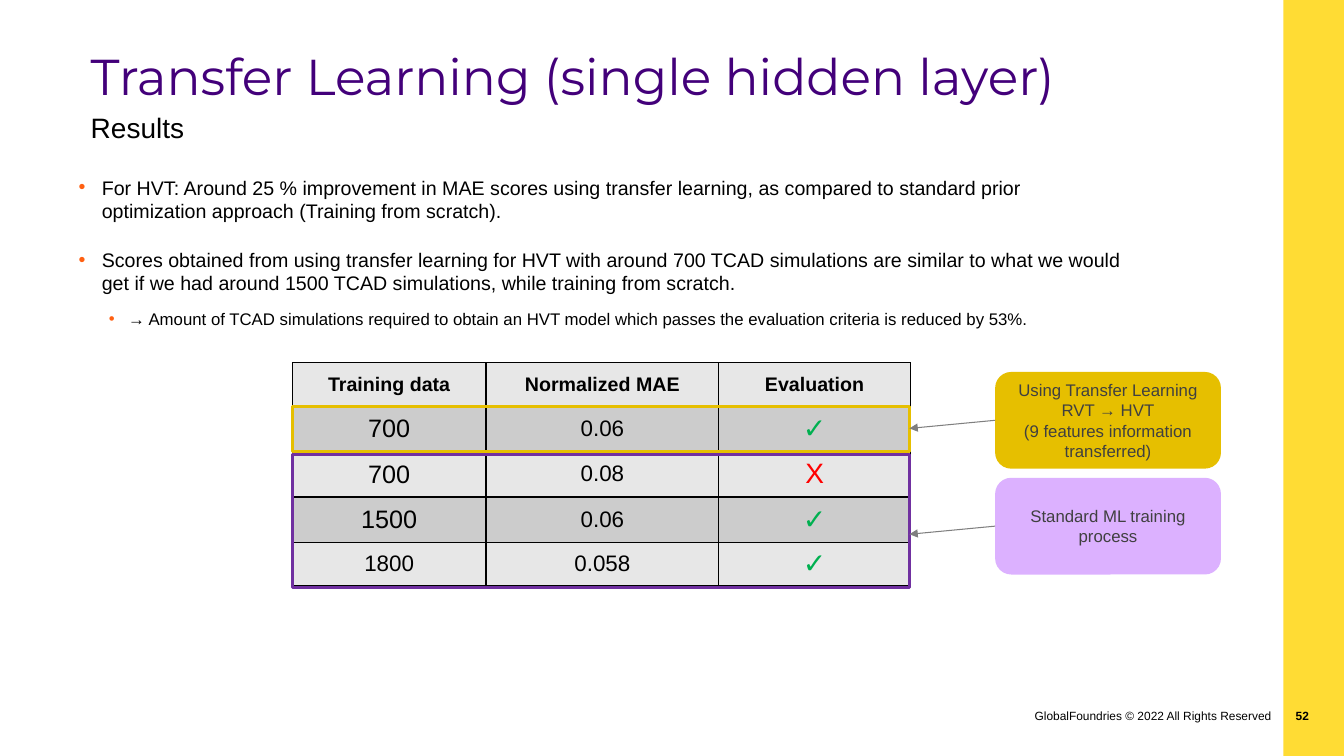
from lxml.etree import SubElement
from pptx import Presentation
from pptx.dml.color import RGBColor
from pptx.enum.shapes import MSO_CONNECTOR as Connector, MSO_SHAPE as Shape
from pptx.enum.text import MSO_ANCHOR as Anchor, PP_ALIGN as Align
from pptx.oxml.ns import qn
from pptx.util import Pt

PX = 9144
BLACK, CHECK_GREEN, CROSS_RED = "000000", "00B050", "FF0000"
GOLD, PURPLE = "E6BF00", "7030A0"

BULLETS = [
    (0, "For HVT: Around 25 % improvement in MAE scores using transfer learning, "
        "as compared to standard prior optimization approach (Training from scratch)."),
    (0, "Scores obtained from using transfer learning for HVT with around 700 TCAD "
        "simulations are similar to what we would get if we had around 1500 TCAD "
        "simulations, while training from scratch."),
    (1, "→ Amount of TCAD simulations required to obtain an HVT model which passes "
        "the evaluation criteria is reduced by 53%."),
]
BULLET_LEVELS = [(23, 23, 18, 14), (49, 19, 10, 12)]

RESULTS = [
    ("Training data", "Normalized MAE", "Evaluation"),
    ("700", "0.06", "✓"),
    ("700", "0.08", "X"),
    ("1500", "0.06", "✓"),
    ("1800", "0.058", "✓"),
]
COLUMN_WIDTHS = [192, 231, 190]
ROW_HEIGHTS = [43, 45, 45, 45, 41]
FIRST_COLUMN_SIZES = [14, 18, 18, 18, 16]


def px(*lengths):
    return [length * PX for length in lengths]


def color(value):
    return RGBColor.from_string(value)


def style(paragraph, size, text_color=BLACK, bold=False, name="Arial", align=Align.LEFT):
    paragraph.alignment = align
    font = paragraph.font
    font.name, font.size, font.bold = name, Pt(size), bold
    font.color.rgb = color(text_color)


def set_margins(frame, margins):
    (frame.margin_left, frame.margin_top,
     frame.margin_right, frame.margin_bottom) = px(*margins)


def add_text(slide, box, text, size, margins=(0, 0, 0, 0), anchor=Anchor.TOP, **look):
    frame = slide.shapes.add_textbox(*px(*box)).text_frame
    frame.word_wrap = True
    frame.vertical_anchor = anchor
    set_margins(frame, margins)
    frame.text = text
    style(frame.paragraphs[0], size, **look)


def add_box(slide, kind, box, fill=None, outline=None):
    shape = slide.shapes.add_shape(kind, *px(*box))
    shape.shadow.inherit = False
    if fill:
        shape.fill.solid()
        shape.fill.fore_color.rgb = color(fill)
    else:
        shape.fill.background()
    if outline:
        shape.line.color.rgb = color(outline)
        shape.line.width = Pt(2.25)
    else:
        shape.line.fill.background()
    return shape


def add_heading(slide, box):
    left, top, width, height = box
    add_text(slide, (left, top, width, 62), "Transfer Learning (single hidden layer)", 36,
             anchor=Anchor.MIDDLE, text_color="43007A", name="Montserrat")
    add_text(slide, (left, top + 66, 489, height - 66), "Results", 20)


def add_bullets(slide, box):
    frame = slide.shapes.add_textbox(*px(*box)).text_frame
    frame.word_wrap = True
    set_margins(frame, (0, 0, 0, 0))
    for index, (level, text) in enumerate(BULLETS):
        paragraph = frame.paragraphs[0] if index == 0 else frame.add_paragraph()
        margin, hanging, space, size = BULLET_LEVELS[level]
        paragraph.text = text
        paragraph.level = level
        if index:
            paragraph.space_before = Pt(space)
        properties = paragraph._p.get_or_add_pPr()
        properties.set("marL", str(margin * PX))
        properties.set("indent", str(-hanging * PX))
        bullet_color = SubElement(properties, qn("a:buClr"))
        SubElement(bullet_color, qn("a:srgbClr"), val="FF6012")
        SubElement(properties, qn("a:buFont"), typeface="Arial")
        SubElement(properties, qn("a:buChar"), char="•")
        style(paragraph, size)


def add_cell_borders(cell):
    properties = cell._tc.get_or_add_tcPr()
    for side in ("a:lnL", "a:lnR", "a:lnT", "a:lnB"):
        border = SubElement(properties, qn(side), w=str(Pt(1)))
        fill = SubElement(border, qn("a:solidFill"))
        SubElement(fill, qn("a:srgbClr"), val=BLACK)


def cell_look(row, column, text):
    if row == 0:
        return 14, BLACK
    if column == 2:
        return 20, CHECK_GREEN if text == "✓" else CROSS_RED
    return (FIRST_COLUMN_SIZES[row] if column == 0 else 16), BLACK


def add_results(slide, box):
    left, top, width, height = box
    table = slide.shapes.add_table(len(RESULTS), len(COLUMN_WIDTHS), *px(*box)).table
    table.first_row = table.horz_banding = False
    for column, column_width in zip(table.columns, COLUMN_WIDTHS):
        column.width = column_width * PX
    for row, row_height in zip(table.rows, ROW_HEIGHTS):
        row.height = row_height * PX
    for row, texts in enumerate(RESULTS):
        for column, text in enumerate(texts):
            cell = table.cell(row, column)
            add_cell_borders(cell)
            cell.fill.solid()
            cell.fill.fore_color.rgb = color("CCCCCC" if row % 2 else "E7E7E7")
            cell.vertical_anchor = Anchor.MIDDLE
            cell.text = text
            size, text_color = cell_look(row, column, text)
            style(cell.text_frame.paragraphs[0], size, text_color, row == 0,
                  align=Align.CENTER)
    for offset, outline_height, outline in ((43, 45, GOLD), (91, 132, PURPLE)):
        add_box(slide, Shape.RECTANGLE, (left, top + offset, width - 1, outline_height),
                outline=outline)


def add_callout(slide, box, text, fill):
    left, top, width, height = box
    shape = add_box(slide, Shape.ROUNDED_RECTANGLE, box, fill)
    frame = shape.text_frame
    frame.word_wrap = True
    frame.vertical_anchor = Anchor.MIDDLE
    frame.text = text
    for paragraph in frame.paragraphs:
        style(paragraph, 12, "404040", align=Align.CENTER)
    middle = top + height // 2
    arrow = slide.shapes.add_connector(
        Connector.STRAIGHT, *px(left, middle, left - 85, middle + 8))
    arrow.line.color.rgb = color("7F7F7F")
    arrow.line.width = Pt(0.75)
    SubElement(arrow.line._get_or_add_ln(), qn("a:tailEnd"), type="triangle")
    SubElement(arrow._element.spPr, qn("a:effectLst"))


def add_footer(slide, box):
    left, top, width, height = box
    add_text(slide, (left, top, 265, height), "GlobalFoundries © 2022 All Rights Reserved",
             8.5, margins=(10, 5, 10, 5), align=Align.RIGHT)
    add_text(slide, (left + width - 42, top, 42, height), "52", 8.5,
             margins=(0, 5, 10, 5), bold=True, align=Align.RIGHT)


def main():
    presentation = Presentation()
    presentation.slide_width, presentation.slide_height = px(1333, 750)
    slide = presentation.slides.add_slide(presentation.slide_layouts[6])
    add_box(slide, Shape.RECTANGLE, (1273, 0, 60, 750), "FFDC34")
    add_heading(slide, (90, 44, 1104, 109))
    add_bullets(slide, (78, 174, 1038, 261))
    add_footer(slide, (1006, 698, 302, 40))
    add_results(slide, (290, 360, sum(COLUMN_WIDTHS), sum(ROW_HEIGHTS)))
    callouts = [
        ("Using Transfer Learning RVT → HVT\n(9 features information transferred)", GOLD),
        ("Standard ML training process", "DCB1FF"),
    ]
    for index, (text, fill) in enumerate(callouts):
        add_callout(slide, (987, 369 + index * 105, 224, 96), text, fill)
    presentation.save("out.pptx")


if __name__ == "__main__":
    main()
